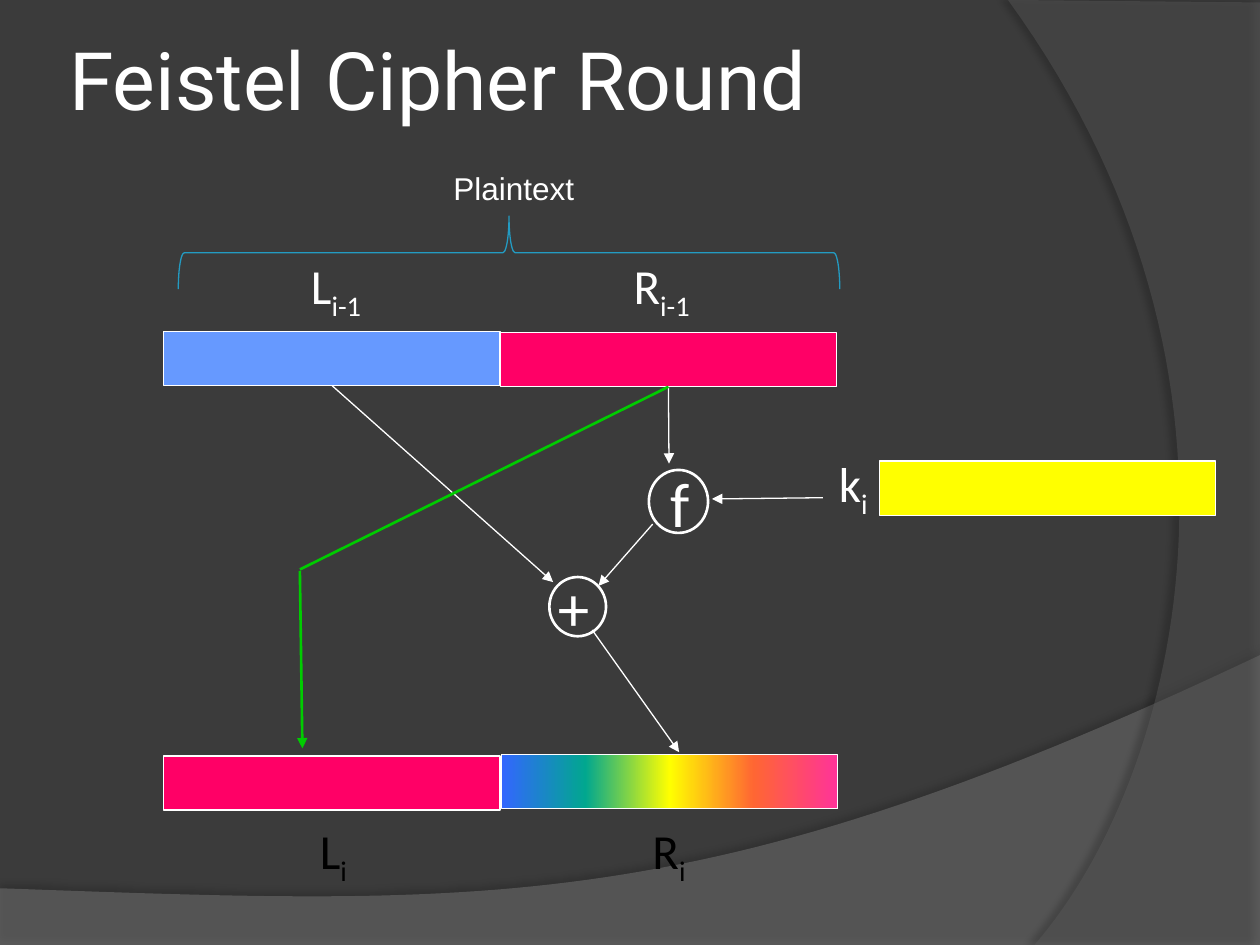
from lxml import etree
from pptx import Presentation
from pptx.dml.color import RGBColor
from pptx.enum.shapes import MSO_CONNECTOR, MSO_SHAPE
from pptx.enum.text import MSO_ANCHOR, PP_ALIGN
from pptx.oxml.ns import qn
from pptx.util import Inches, Pt

RECT, OVAL, BRACE = MSO_SHAPE.RECTANGLE, MSO_SHAPE.OVAL, MSO_SHAPE.RIGHT_BRACE
STRAIGHT = MSO_CONNECTOR.STRAIGHT
LEFT, MIDDLE = PP_ALIGN.LEFT, MSO_ANCHOR.MIDDLE
BOTTOM_SITE = 2

BACKGROUND, WHITE, BLACK = "3B3B3B", "FFFFFF", "000000"
BLUE, PINK, YELLOW, GREEN, TEAL = "6699FF", "FF0066", "FFFF00", "00CC00", "239BC2"
RAINBOW = [(0, "3366FF"), (25, "01A78F"), (50, "FFFF00"), (75, "FF6633"), (100, "FF3399")]
BAR_WIDTH, BAR_HEIGHT = 2.67, 0.43

# start, cubic curve (two controls and an end), remaining corners, colour, opacity,
# shadow (opacity, blur, distance, direction)
WAVES = [
    ((10, 5.2), [(5.59, 7.29), (3.91, 7.19), (0, 7.05)], [(0, 7.5), (10, 7.5)],
     "7F7F7F", 45, (35, 4, 3.5, 270)),
    ((8.21, 7.5), [(9.35, 6.19), (10.18, 3), (8, 0)], [(10, 0.02), (10, 7.5)],
     "5E5E5E", 40, (45, 4, 4, 180)),
]
# name: left, top, fill
BARS = {
    "left in": (1.3, 2.63, BLUE),
    "right in": (3.97, 2.64, PINK),
    "left out": (1.3, 6, PINK),
    "right out": (3.98, 5.99, None),
    "key": (6.98, 3.66, YELLOW),
}
CIRCLES = [(5.15, 3.73, 0.47, 0.5), (4.36, 4.58, 0.45, 0.47)]
# from (a bar's bottom or a point), to, colour, width, arrowhead
LINES = [
    ((6.53, 3.95), (5.65, 3.96), WHITE, 0.75, True),
    ("left in", (4.39, 4.62), WHITE, 0.75, True),
    ((4.7, 5), (5.39, 5.97), WHITE, 0.75, True),
    ("right in", (5.31, 3.68), WHITE, 0.75, True),
    ((5.18, 4.16), (4.75, 4.65), WHITE, 0.75, True),
    ("right in", (2.38, 4.52), GREEN, 1.5, False),
    ((2.38, 4.53), (2.4, 5.94), GREEN, 1.5, True),
]
# text, subscript, box, size, font, colour
LABELS = [
    ("+", "", (4.33, 4.46, 0.6, 0.7), 36, "Calibri", WHITE),
    ("f", "", (5.22, 3.64, 0.5, 0.7), 36, "Calibri", WHITE),
    ("L", "i-1", (2.37, 1.98, 0.9, 0.57), 28, "Calibri", WHITE),
    ("R", "i-1", (4.93, 1.98, 0.9, 0.57), 28, "Calibri", WHITE),
    ("k", "i", (6.56, 3.55, 0.6, 0.57), 28, "Calibri", WHITE),
    ("L", "i", (2.44, 6.46, 0.6, 0.57), 28, "Calibri", BLACK),
    ("R", "i", (5.08, 6.46, 0.6, 0.57), 28, "Calibri", BLACK),
    ("Plaintext", "", (3.5, 1.29, 1.4, 0.4), 18, "Arial", WHITE),
]


def rgb(value):
    return RGBColor.from_string(value)


def inches(values):
    return [Inches(value) for value in values]


def add_xml(parent, tag, **attributes):
    return etree.SubElement(parent, qn(tag), {key: str(val) for key, val in attributes.items()})


def set_fill(shape, color):
    if color:
        shape.fill.solid()
        shape.fill.fore_color.rgb = rgb(color)
    else:
        shape.fill.background()


def set_line(shape, color, width):
    shape.line.color.rgb = rgb(color)
    shape.line.width = Pt(width)


def add_span(para, text, size, font, color, subscript=False):
    span = para.add_run()
    span.text = text
    formats = {"size": Pt(size), "name": font}
    for name, value in formats.items():
        setattr(span.font, name, value)
    span.font.color.rgb = rgb(color)
    if subscript:
        span.font._element.set("baseline", "-25000")


def add_wave(page, start, curve, corners, color, opacity, shadow):
    """Draw a translucent area with one curved edge and a soft shadow."""
    steps = 60
    points = []
    for step in range(1, steps + 1):
        t = step / steps
        weights = ((1 - t) ** 3, 3 * t * (1 - t) ** 2, 3 * t * t * (1 - t), t ** 3)
        points.append(tuple(sum(w * p[axis] for w, p in zip(weights, [start, *curve]))
                            for axis in (0, 1)))
    builder = page.shapes.build_freeform(*inches(start))
    builder.add_line_segments([inches(point) for point in points + corners], close=True)
    wave = builder.convert_to_shape()
    set_fill(wave, color)
    wave.line.fill.background()
    wave.shadow.inherit = False
    properties = wave._element.spPr
    add_xml(properties.find(".//" + qn("a:srgbClr")), "a:alpha", val=opacity * 1000)
    shade, blur, distance, direction = shadow
    outer = add_xml(properties.find(qn("a:effectLst")), "a:outerShdw", blurRad=Pt(blur),
                    dist=Pt(distance), dir=direction * 60000, rotWithShape=0)
    add_xml(add_xml(outer, "a:srgbClr", val=BLACK), "a:alpha", val=shade * 1000)


def add_outlined(page, kind, place, fill, line, width):
    shape = page.shapes.add_shape(kind, *inches(place))
    shape.shadow.inherit = False
    set_fill(shape, fill)
    set_line(shape, line, width)
    return shape


def set_rainbow(shape):
    shape.fill.gradient()
    shape.fill.gradient_angle = 0
    stops = shape._element.spPr.find(".//" + qn("a:gsLst"))
    for stop in list(stops):
        stops.remove(stop)
    for position, color in RAINBOW:
        stop = add_xml(stops, "a:gs", pos=position * 1000)
        add_xml(stop, "a:srgbClr", val=color)


def add_line(page, bars, start, end, color, width, arrow):
    joined = bars.get(start)
    begin = (0, 0) if joined else start
    line = page.shapes.add_connector(STRAIGHT, *inches((*begin, *end)))
    if joined:
        line.begin_connect(joined, BOTTOM_SITE)
    set_line(line, color, width)
    if arrow:
        add_xml(line.line._get_or_add_ln(), "a:tailEnd", type="triangle")
    add_xml(line._element.spPr, "a:effectLst")


def add_label(page, text, subscript, place, size, font, color):
    box = page.shapes.add_textbox(*inches(place))
    box.text_frame.word_wrap = True
    para = box.text_frame.paragraphs[0]
    add_span(para, text, size, font, color)
    if subscript:
        add_span(para, subscript, size, font, color, subscript=True)


def add_title(page, text):
    title = page.shapes.title
    title.left, title.top, title.width, title.height = inches((0.5, 0, 8.17, 1.25))
    frame = title.text_frame
    frame.vertical_anchor = MIDDLE
    for side in ("left", "right", "top", "bottom"):
        setattr(frame, "margin_" + side, Inches(0.05))
    frame.paragraphs[0].alignment = LEFT
    add_span(frame.paragraphs[0], text, 46, "Roboto", WHITE)


def main():
    deck = Presentation()
    deck.slide_width, deck.slide_height = inches((10, 7.5))
    page = deck.slides.add_slide(deck.slide_layouts[5])
    page.background.fill.solid()
    page.background.fill.fore_color.rgb = rgb(BACKGROUND)

    for wave in WAVES:
        add_wave(page, *wave)
    add_title(page, "Feistel Cipher Round")
    for circle in CIRCLES:
        add_outlined(page, OVAL, circle, None, WHITE, 1.5)
    bars = {}
    for name, (left, top, fill) in BARS.items():
        bars[name] = add_outlined(page, RECT, (left, top, BAR_WIDTH, BAR_HEIGHT),
                                  fill, WHITE, 0.75)
    set_rainbow(bars["right out"])
    for line in LINES:
        add_line(page, bars, *line)
    brace = add_outlined(page, BRACE, (3.75, -0.62, 0.58, 5.25), None, TEAL, 0.75)
    brace.rotation = 270
    for label in LABELS:
        add_label(page, *label)
    deck.save("out.pptx")


if __name__ == "__main__":
    main()
